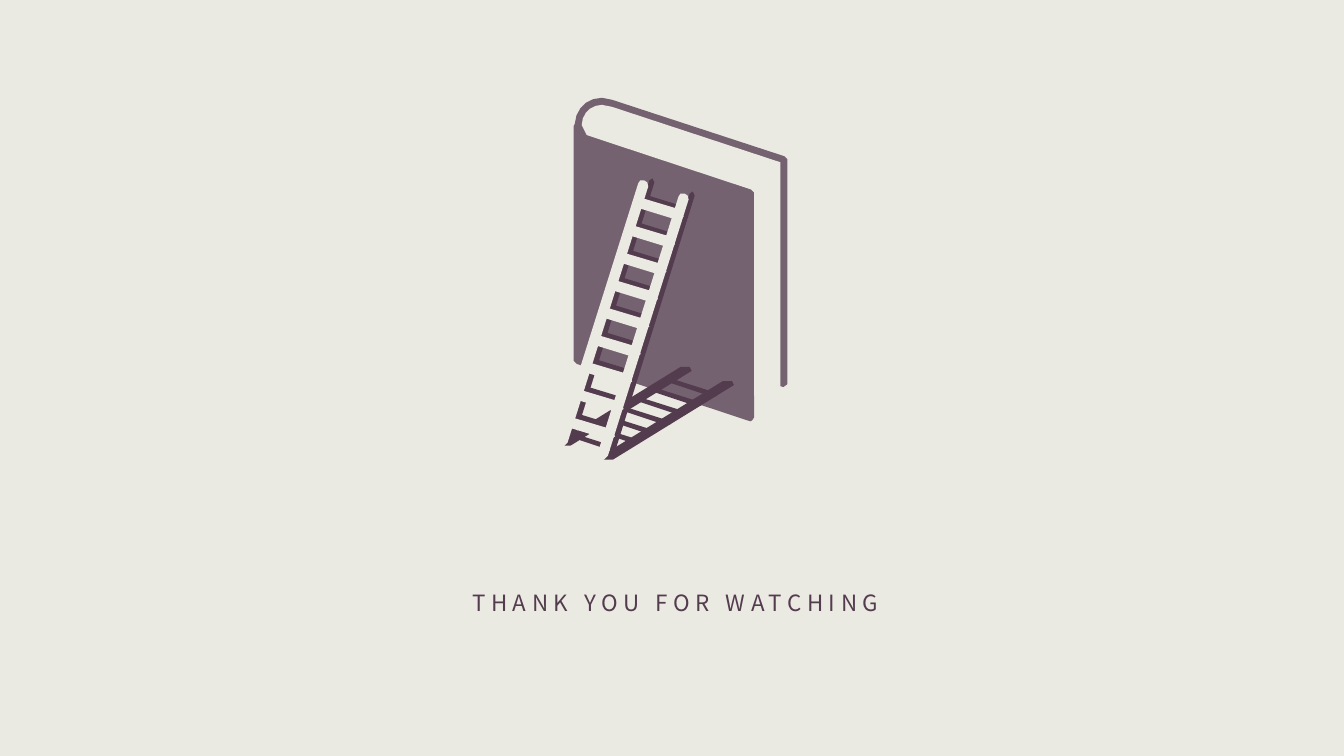
from math import dist

from pptx import Presentation
from pptx.dml.color import RGBColor
from pptx.enum.text import MSO_ANCHOR, MSO_AUTO_SIZE, PP_ALIGN
from pptx.util import Inches, Pt

COLORS = {"paper": "EBEAE2", "cover": "756271", "dark": "543C4F"}
FONT = "Noto Sans CJK SC"
CURVE_STEPS = 5
SHORT_CURVE = 0.12  # inches; shorter curves become one straight edge

# Outlines in inches: 2 numbers are a point, 6 are a Bezier curve
BACK_COVER = [(7.4, 4.09), (5.77, 3.55), (5.77, 1.39), (5.89, 1.44),
              (7.4, 1.94)]
BOOK = [(7.78, 1.55), (6.07, 0.99), (6.03, 0.98, 6, 0.97, 5.97, 0.97),
        (5.82, 0.97, 5.71, 1.08, 5.7, 1.23), (5.69, 1.25), (5.69, 3.58),
        (5.72, 3.61), (7.44, 4.18), (7.46, 4.17), (7.48, 4.14),
        (7.48, 3.75), (7.77, 3.84), (7.81, 3.81), (7.81, 1.58)]
PAGES = [(7.48, 1.91), (7.48, 3.93), (7.51, 3.86, 7.58, 3.82, 7.66, 3.82),
         (7.74, 3.83), (7.74, 1.61), (6.07, 1.06),
         (6.03, 1.05, 6, 1.04, 5.97, 1.04),
         (5.86, 1.04, 5.77, 1.13, 5.77, 1.24),
         (5.77, 1.27, 5.79, 1.32, 5.82, 1.34),
         (5.91, 1.37), (7.45, 1.88)]

# Bars with bevelled ends: color, how many, offset of the last one, first outline
BARS = [
    # Shadow on the cover: rails, rungs
    ("dark", 2, (0.4, 0.13), [
        (5.67, 4.36), (5.64, 4.33), (6.44, 1.79), (6.47, 1.77),
        (6.49, 1.81), (5.7, 4.35)]),
    ("dark", 9, (-0.68, 2.17), [
        (6.82, 2.12), (6.41, 1.99), (6.4, 1.96), (6.43, 1.94),
        (6.82, 2.06), (6.84, 2.1)]),
    # Shadow on the floor: rails, rungs
    ("dark", 2, (0.42, 0.14), [
        (5.59, 4.42), (5.57, 4.42), (5.55, 4.38), (6.75, 3.64),
        (6.84, 3.64), (6.86, 3.68), (5.66, 4.42)]),
    ("dark", 7, (-0.92, 0.56), [
        (7.04, 3.93), (6.62, 3.79), (6.59, 3.76), (6.67, 3.76),
        (7.08, 3.89), (7.11, 3.93)]),
    # Ladder: rails, rungs
    ("paper", 2, (0.4, 0.13), [
        (5.59, 4.43), (5.57, 4.43), (5.53, 4.36), (6.33, 1.82),
        (6.35, 1.79), (6.39, 1.79), (6.42, 1.81), (6.43, 1.85),
        (5.63, 4.39)]),
    ("paper", 9, (-0.68, 2.18), [
        (6.73, 2.18), (6.71, 2.18), (6.32, 2.06), (6.29, 1.99),
        (6.35, 1.96), (6.75, 2.08), (6.78, 2.15)]),
]


def rgb(name):
    return RGBColor.from_string(COLORS[name])


def flatten(outline):
    """Turn an outline into plain points, sampling its longer curves."""
    points = []
    for seg in outline:
        end = seg[-2:]
        if len(seg) == 2 or dist(points[-1], end) < SHORT_CURVE:
            points.append(end)
            continue
        x0, y0 = points[-1]
        x1, y1, x2, y2, x3, y3 = seg
        for i in range(1, CURVE_STEPS + 1):
            t = i / CURVE_STEPS
            u = 1 - t
            a, b, c, d = u ** 3, 3 * u * u * t, 3 * u * t * t, t ** 3
            points.append((a * x0 + b * x1 + c * x2 + d * x3,
                           a * y0 + b * y1 + c * y2 + d * y3))
    return points


def add_outline(shapes, outline, color, dx=0, dy=0):
    points = [(Inches(x + dx), Inches(y + dy)) for x, y in flatten(outline)]
    builder = shapes.build_freeform(*points[0])
    builder.add_line_segments(points[1:], close=True)
    sp = builder.convert_to_shape()
    sp.shadow.inherit = False
    sp.fill.solid()
    sp.fill.fore_color.rgb = rgb(color)
    sp.line.fill.background()


def add_bars(shapes, color, count, span, outline):
    for i in range(count):
        part = i / (count - 1)
        add_outline(shapes, outline, color, span[0] * part, span[1] * part)


def set_title(s, text):
    sp = s.shapes.title
    sp.left, sp.top = Inches(4.39), Inches(5.79)
    sp.width, sp.height = Inches(4.62), Inches(0.37)
    tf = sp.text_frame
    tf.text = text
    tf.word_wrap = False
    tf.auto_size = MSO_AUTO_SIZE.NONE
    tf.vertical_anchor = MSO_ANCHOR.MIDDLE
    p = tf.paragraphs[0]
    p.alignment = PP_ALIGN.CENTER
    p.font.size = Pt(16)
    p.font.name = FONT
    p.font.color.rgb = rgb("dark")
    # Letter spacing of 4 pt
    p.runs[0]._r.get_or_add_rPr().set("spc", "400")


def main():
    prs = Presentation()
    prs.slide_width, prs.slide_height = Inches(13.33), Inches(7.5)
    s = prs.slides.add_slide(prs.slide_layouts[5])
    s.background.fill.solid()
    s.background.fill.fore_color.rgb = rgb("paper")
    set_title(s, "THANK YOU FOR WATCHING")

    # Book with a ladder
    shapes = s.shapes.add_group_shape().shapes
    add_outline(shapes, BACK_COVER, "dark")
    add_outline(shapes, BOOK, "cover")
    for color, count, span, outline in BARS:
        add_bars(shapes, color, count, span, outline)
    add_outline(shapes, PAGES, "paper")

    prs.save("out.pptx")


if __name__ == "__main__":
    main()
